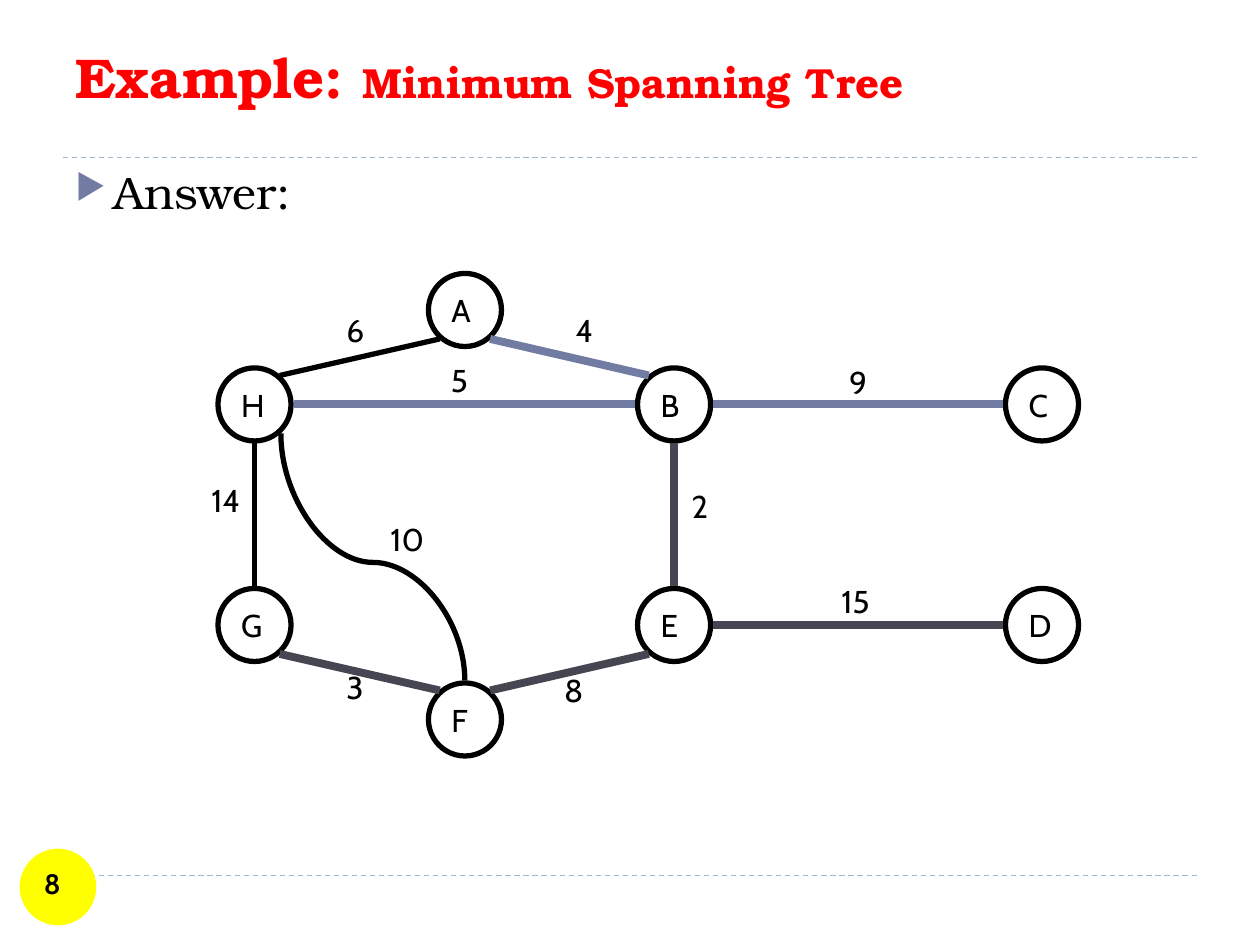
from lxml.etree import SubElement
from pptx import Presentation
from pptx.dml.color import RGBColor
from pptx.enum.dml import MSO_LINE
from pptx.enum.shapes import MSO_CONNECTOR, MSO_SHAPE
from pptx.enum.text import MSO_ANCHOR, PP_ALIGN
from pptx.oxml.ns import qn
from pptx.util import Inches, Pt

BLACK = RGBColor(0, 0, 0)
RED = RGBColor(0xFF, 0, 0)
YELLOW = RGBColor(0xFF, 0xFF, 0)
RULE = RGBColor(0x9F, 0xB8, 0xCD)
BLUE = RGBColor(0x72, 0x7C, 0xA3)
SLATE = RGBColor(0x46, 0x46, 0x53)
SERIF, SANS = "TeX Gyre Bonum", "Cabin"

DIAMETER = 0.58
NODES = {
    "H": (2.02, 3.21), "B": (5.35, 3.21), "C": (8.27, 3.21),
    "G": (2.02, 4.96), "E": (5.35, 4.96), "D": (8.27, 4.96),
    "F": (3.69, 5.71), "A": (3.69, 2.46),
}
EDGES = [
    ("A", "B", BLUE, 4.5), ("A", "H", BLACK, 3), ("H", "B", BLUE, 4.5),
    ("G", "H", BLACK, 3), ("G", "F", SLATE, 4.5), ("F", "E", SLATE, 4.5),
    ("E", "B", SLATE, 4.5), ("B", "C", BLUE, 4.5), ("E", "D", SLATE, 4.5),
]
WEIGHTS = [
    ("14", 1.58, 3.77), ("10", 3.0, 4.08), ("3", 2.65, 5.25), ("6", 2.65, 2.42),
    ("4", 4.47, 2.42), ("5", 3.48, 2.82), ("2", 5.39, 3.82), ("9", 6.64, 2.83),
    ("15", 6.58, 4.57), ("8", 4.38, 5.28),
]

deck = Presentation()
deck.slide_width, deck.slide_height = Inches(10), Inches(7.5)
page = deck.slides.add_slide(deck.slide_layouts[6])


def write(frame, *parts, size=18, font=SANS, color=BLACK, bold=False,
          anchor=MSO_ANCHOR.TOP, wrap=False):
    frame.word_wrap = wrap
    frame.vertical_anchor = anchor
    para = frame.paragraphs[0]
    para.alignment = PP_ALIGN.LEFT
    for text, part_size in parts:
        span = para.add_run()
        span.text = text
        span.font.size = Pt(part_size or size)
        span.font.name = font
        span.font.bold = bold
        span.font.color.rgb = color
    return para


def add_text(left, top, width, height, *parts, **style):
    box = page.shapes.add_textbox(*map(Inches, (left, top, width, height)))
    return write(box.text_frame, *parts, **style)


def add_circle(left, top, line, width, fill=None):
    circle = page.shapes.add_shape(
        MSO_SHAPE.OVAL, *map(Inches, (left, top, DIAMETER, DIAMETER)))
    circle.shadow.inherit = False
    if fill is None:
        circle.fill.background()
    else:
        circle.fill.solid()
        circle.fill.fore_color.rgb = fill
    circle.line.color.rgb = line
    circle.line.width = Pt(width)
    return circle


def add_line(start, end, color, width, kind=MSO_CONNECTOR.STRAIGHT):
    line = page.shapes.add_connector(kind, *map(Inches, (*start, *end)))
    line.line.color.rgb = color
    line.line.width = Pt(width)
    SubElement(line.element.spPr, qn("a:effectLst"))
    return line


def sign(value):
    return (value > 0) - (value < 0)


def rim(name, other):
    x, y = NODES[name]
    dx = sign(NODES[other][0] - x)
    dy = sign(NODES[other][1] - y)
    reach_x, reach_y = (0.2, 0.23) if dx and dy else (0.31, 0.31)
    return x + dx * reach_x, y + dy * reach_y


for y in (6.95, 1.25):
    add_line((0.5, y), (9.5, y), RULE, 0.75).line.dash_style = MSO_LINE.DASH
add_circle(0.17, 6.75, YELLOW, 2, fill=YELLOW)

add_text(0.5, 0.17, 9, 0.75, ("Example: ", 32), ("Minimum Spanning Tree", 24),
         font=SERIF, color=RED, bold=True, anchor=MSO_ANCHOR.BOTTOM, wrap=True)

answer = add_text(0.5, 1.25, 9, 5.48, ("Answer:", 26), font=SERIF, wrap=True)
answer.space_before = Pt(6)
props = answer._p.get_or_add_pPr()
props.set("marL", str(Inches(0.3)))
props.set("indent", str(Inches(-0.3)))
SubElement(SubElement(props, qn("a:buClr")), qn("a:srgbClr")).set("val", str(BLUE))
SubElement(props, qn("a:buSzPct")).set("val", "76000")
SubElement(props, qn("a:buChar")).set("char", "\u25b6")

for name, (x, y) in NODES.items():
    node = add_circle(x - DIAMETER / 2, y - DIAMETER / 2, BLACK, 3)
    write(node.text_frame, (name, 18), anchor=MSO_ANCHOR.MIDDLE)

for first, second, color, width in EDGES:
    add_line(rim(first, second), rim(second, first), color, width)

curve = add_line((3.94, 3.69), (1.98, 5.15), BLACK, 3, MSO_CONNECTOR.CURVE)
curve.element.spPr.find(qn("a:xfrm")).set("rot", "5400000")
geometry = curve.element.spPr.find(qn("a:prstGeom"))
guide = SubElement(geometry.find(qn("a:avLst")), qn("a:gd"))
guide.set("name", "adj1")
guide.set("fmla", "val 47800")

for weight, left, top in WEIGHTS:
    add_text(left, top, 0.2 + 0.14 * len(weight), 0.43, (weight, 18))

add_text(0.25, 6.83, 0.67, 0.4, ("8", 16), bold=True, wrap=True)

deck.save("out.pptx")
